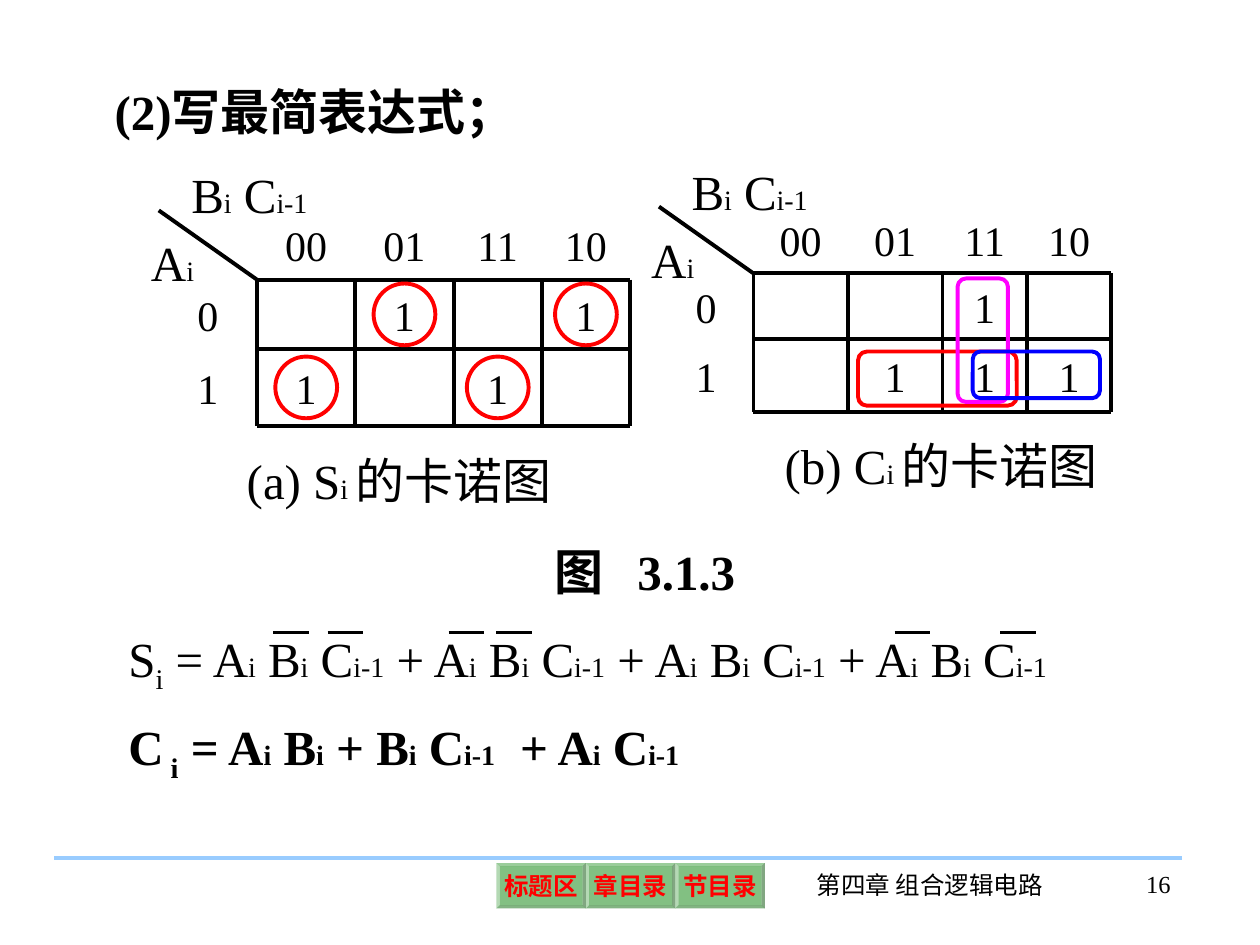
from dataclasses import dataclass
from itertools import accumulate

from lxml import etree
from pptx import Presentation
from pptx.dml import color
from pptx.enum import shapes, text
from pptx.oxml import ns
from pptx.util import Inches, Pt


@dataclass(frozen=True)
class Theme:
    font: str = "Times New Roman"
    ink: str = "000000"
    red: str = "FF0000"
    magenta: str = "FF00FF"
    blue: str = "0000FF"
    rule: str = "99CCFF"
    button: str = "008000"
    button_alpha: int = 49000
    large: int = 28
    cell: int = 24
    index: int = 16
    footer: int = 14
    stroke: float = 2.25


THEME = Theme()
LEFT, CENTER, RIGHT = text.PP_ALIGN.LEFT, text.PP_ALIGN.CENTER, text.PP_ALIGN.RIGHT
TOP, MIDDLE = text.MSO_ANCHOR.TOP, text.MSO_ANCHOR.MIDDLE
INSET = (0.1, 0.05)


def rgb(value):
    return color.RGBColor.from_string(value)


def add_run(paragraph, words, size, ink=THEME.ink, bold=False):
    run = paragraph.add_run()
    run.text = words
    run.font.name, run.font.size, run.font.bold = THEME.font, Pt(size), bold
    run.font.color.rgb = rgb(ink)
    return run


def add_formula(paragraph, formula, bold=False):
    """Pieces between bars alternate: base text, then index; "_" marks a lowered index."""
    for order, piece in enumerate(formula.split("|")):
        lowered = piece.startswith("_")
        size = THEME.index if order % 2 and not lowered else THEME.large
        run = add_run(paragraph, piece.lstrip("_"), size, bold=bold)
        if lowered:
            run.font._element.set("baseline", "-25000")


def prepare_frame(frame, align=LEFT, anchor=TOP, inset=INSET, wrap=True):
    frame.word_wrap, frame.vertical_anchor = wrap, anchor
    frame.auto_size = text.MSO_AUTO_SIZE.NONE
    frame.margin_left = frame.margin_right = Inches(inset[0])
    frame.margin_top = frame.margin_bottom = Inches(inset[1])
    paragraph = frame.paragraphs[0]
    paragraph.alignment = align
    return paragraph


def add_text(parts, box, **layout):
    return prepare_frame(parts.add_textbox(*map(Inches, box)).text_frame, **layout)


def add_tab_stop(paragraph, position):
    stops = etree.SubElement(paragraph._p.get_or_add_pPr(), ns.qn("a:tabLst"))
    etree.SubElement(stops, ns.qn("a:tab"), pos=str(Inches(position)), algn="l")


def add_line(parts, x1, y1, x2, y2, ink=THEME.ink):
    line = parts.add_connector(
        shapes.MSO_CONNECTOR.STRAIGHT, *map(Inches, (x1, y1, x2, y2)))
    line.line.color.rgb, line.line.width = rgb(ink), Pt(THEME.stroke)
    etree.SubElement(line._element.spPr, ns.qn("a:effectLst"))


def add_loop(parts, kind, box, ink):
    loop = parts.add_shape(kind, *map(Inches, box))
    loop.shadow.inherit = False
    loop.fill.background()
    loop.line.color.rgb, loop.line.width = rgb(ink), Pt(THEME.stroke)


def add_karnaugh_map(slide, left, top, widths, heights, ones, caption, caption_box):
    """Draw a 2 x 4 map and return its group with the column and row edges."""
    parts = slide.shapes.add_group_shape().shapes
    xs = list(accumulate(widths, initial=left))
    ys = list(accumulate(heights, initial=top))

    # Column codes, row codes and ones
    entries = {(0, col): code for col, code in enumerate(("00", "01", "11", "10"), 1)}
    entries |= {(1, 0): "0", (2, 0): "1"} | {place: "1" for place in ones}
    for (row, col), value in entries.items():
        box = (xs[col], ys[row], widths[col], heights[row])
        cell = add_text(parts, box, align=CENTER, anchor=MIDDLE, inset=(0.02, 0.02))
        add_run(cell, value, THEME.cell)

    # Grid with its diagonal corner
    add_line(parts, left, top, xs[1], ys[1])
    for x in xs[1:]:
        add_line(parts, x, ys[1], x, ys[-1])
    for y in ys[1:]:
        add_line(parts, xs[1], y, xs[-1], y)

    # Variable names and caption
    add_formula(add_text(parts, (left - 0.16, top + 0.13, 0.64, 0.57)), "A|i")
    add_formula(add_text(parts, (left + 0.16, top - 0.41, 1.6, 0.57)), "B|i| C|i-1")
    add_formula(add_text(parts, caption_box), caption)
    return parts, xs, ys


def add_sum_map(slide):
    ones = [(1, 2), (1, 4), (2, 1), (2, 3)]
    parts, xs, ys = add_karnaugh_map(
        slide, 1.26, 1.67, (0.78, 0.78, 0.78, 0.7, 0.7), (0.55, 0.55, 0.61),
        ones, "(a) S|i |的卡诺图", (1.86, 3.53, 2.89, 0.57))
    size = 0.49
    for row, col in ones:
        x = (xs[col] + xs[col + 1] - size) / 2
        y = (ys[row] + ys[row + 1] - size) / 2
        add_loop(parts, shapes.MSO_SHAPE.OVAL, (x, y, size, size), THEME.red)


def add_carry_map(slide):
    parts, _, _ = add_karnaugh_map(
        slide, 5.23, 1.64, (0.75, 0.75, 0.75, 0.67, 0.67), (0.53, 0.52, 0.58),
        [(1, 3), (2, 2), (2, 3), (2, 4)],
        "(b) C|i |的卡诺图", (6.13, 3.41, 2.77, 0.57))
    for box, ink in (((6.81, 2.79, 1.26, 0.43), THEME.red),
                     ((7.6, 2.21, 0.4, 0.98), THEME.magenta),
                     ((7.72, 2.79, 1.01, 0.37), THEME.blue)):
        add_loop(parts, shapes.MSO_SHAPE.ROUNDED_RECTANGLE, box, ink)


def add_button(slide, left, label):
    button = slide.shapes.add_shape(
        shapes.MSO_SHAPE.BEVEL, *map(Inches, (left, 6.85, 0.71, 0.36)))
    button.adjustments[0] = 0.07
    button.shadow.inherit = False
    button.fill.solid()
    button.fill.fore_color.rgb = rgb(THEME.button)
    tint = button._element.spPr.find(".//" + ns.qn("a:srgbClr"))
    etree.SubElement(tint, ns.qn("a:alpha"), val=str(THEME.button_alpha))
    button.line.fill.background()
    caption = prepare_frame(button.text_frame, CENTER, MIDDLE, (0.04, 0.04), wrap=False)
    add_run(caption, label, THEME.footer, THEME.red, bold=True)


def add_footer(slide):
    add_line(slide.shapes, 0.43, 6.81, 9.38, 6.81, THEME.rule)
    for order, label in enumerate(("标题区", "章目录", "节目录")):
        add_button(slide, 3.94 + 0.71 * order, label)
    chapter = add_text(slide.shapes, (6.24, 6.86, 2.28, 0.5), align=CENTER)
    add_run(chapter, "第四章 组合逻辑电路", THEME.footer)
    page = add_text(slide.shapes, (8.53, 6.85, 0.86, 0.5), align=RIGHT)
    add_run(page, "16", THEME.footer)


def add_title(slide, words):
    title = slide.shapes.title
    title.left, title.top, title.width, title.height = map(Inches, (0.81, 0.6, 8.4, 0.57))
    add_run(prepare_frame(title.text_frame), words, THEME.large, bold=True)


def add_expressions(slide):
    # Sum, with bars over the negated variables
    parts = slide.shapes.add_group_shape().shapes
    product = "A|i| B|i| C|i-1"
    formula = "S|_i| = " + "| + ".join([product] * 4)
    add_formula(add_text(parts, (0.92, 4.94, 8.29, 0.63)), formula)
    for x in (2.17, 2.6, 3.56, 3.94, 7.1, 7.94):
        add_line(parts, x, 5.02, x + 0.28, 5.02)

    # Carry
    carry = add_text(slide.shapes, (0.92, 5.64, 8.31, 0.63))
    add_tab_stop(carry, 3.11)
    add_formula(carry, "C|_ i| = A|i| B|i| + B|i| C|i-1|\t+ A|i| C|i-1", bold=True)


def main():
    deck = Presentation()
    deck.slide_width, deck.slide_height = Inches(10), Inches(7.5)
    slide = deck.slides.add_slide(deck.slide_layouts[5])

    add_title(slide, "(2)写最简表达式；")
    add_sum_map(slide)
    add_carry_map(slide)
    figure = add_text(slide.shapes, (4.3, 4.25, 2.09, 0.57))
    add_tab_stop(figure, 0.66)
    add_run(figure, "图\t3.1.3", THEME.large, bold=True)
    add_expressions(slide)
    add_footer(slide)
    deck.save("out.pptx")


if __name__ == "__main__":
    main()
